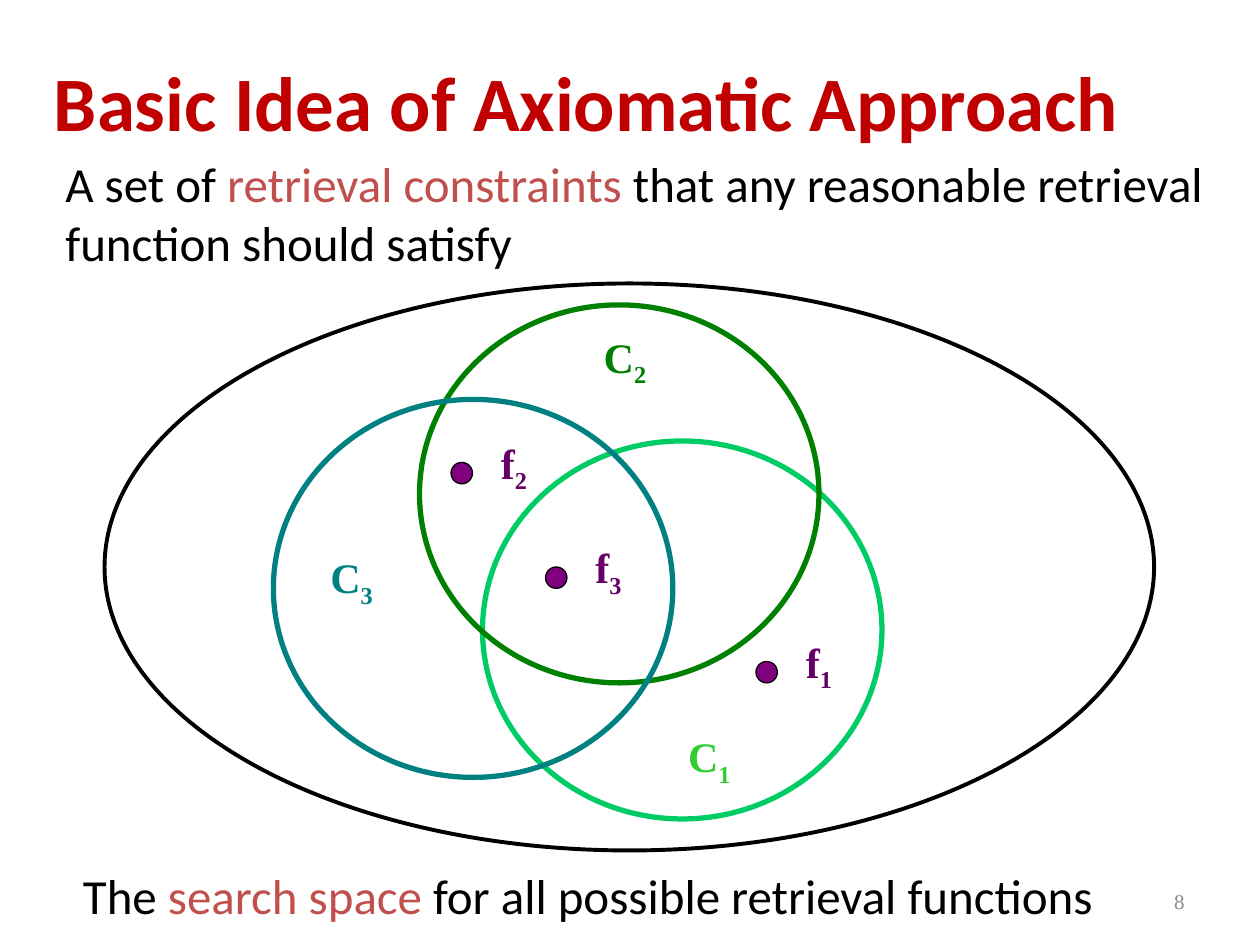
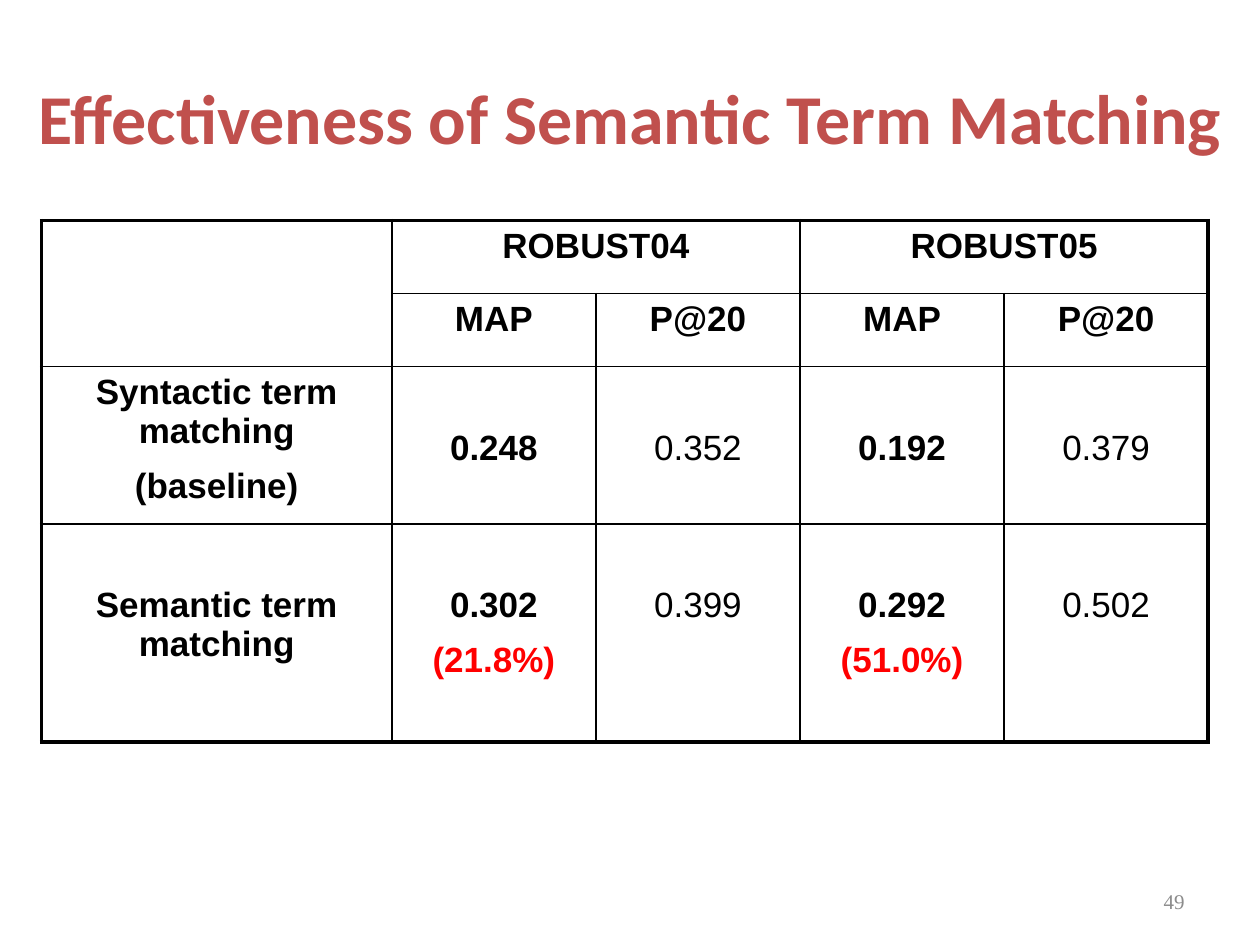
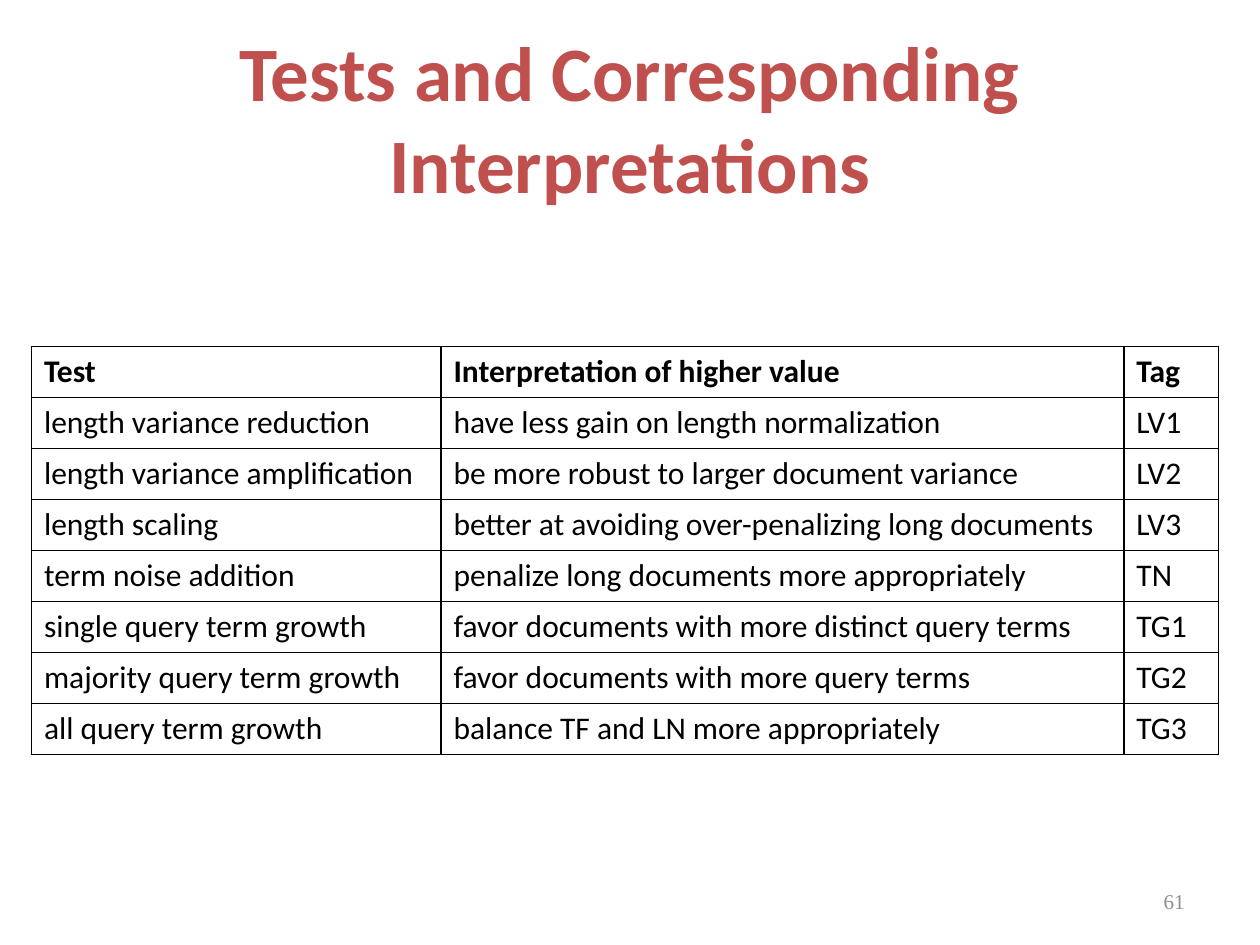
"""Build three slides on the axiomatic approach to retrieval."""
from dataclasses import dataclass

from lxml.etree import SubElement
from pptx import Presentation
from pptx.dml.color import RGBColor
from pptx.enum.shapes import MSO_SHAPE
from pptx.enum.text import MSO_ANCHOR, PP_ALIGN
from pptx.oxml.ns import qn
from pptx.util import Inches, Pt


@dataclass(frozen=True)
class Theme:
    ink: str = "000000"
    deep: str = "C00000"
    rose: str = "C0504D"
    gain: str = "FF0000"
    gray: str = "8C8C8C"
    dot: str = "800080"
    plum: str = "660066"
    lime: str = "33CC33"
    mint: str = "00CC66"
    green: str = "008000"
    teal: str = "008080"
    sans: str = "Calibri"
    serif: str = "Times New Roman"
    plain: str = "Arial"
    head: int = 44
    tight: int = 40
    body: int = 28
    label: int = 24
    data: int = 20
    list: int = 18
    foot: int = 12
    thin: float = 1
    thick: float = 2.25
    ring: float = 3


T = Theme()
LEFT, MID, RIGHT = PP_ALIGN.LEFT, PP_ALIGN.CENTER, PP_ALIGN.RIGHT


def write(frame, paras, size, face, align=LEFT, bold=False, mid=False):
    frame.word_wrap = True
    frame.vertical_anchor = MSO_ANCHOR.MIDDLE if mid else MSO_ANCHOR.TOP
    for i, runs in enumerate(paras):
        para = frame.add_paragraph() if i else frame.paragraphs[0]
        para.alignment = align
        para.font.size, para.font.name, para.font.bold = Pt(size), face, bold
        if i:
            para.space_before = Pt(size * 0.45)
        for words, color, *base in runs:
            run = para.add_run()
            run.text = words
            run.font.color.rgb = RGBColor.from_string(color)
            if base:
                run.font._element.set("baseline", str(base[0] * 1000))


def grid(page, left, top, cols, rows, spans, edge):
    size = map(Inches, (left, top, sum(cols), sum(rows)))
    table = page.shapes.add_table(len(rows), len(cols), *size).table
    table.first_row = table.horz_banding = False
    for col, width in zip(table.columns, cols):
        col.width = Inches(width)
    for row, height in zip(table.rows, rows):
        row.height = Inches(height)
    for r, c, down, over in spans:
        table.cell(r, c).merge(table.cell(r + down, c + over))
    for r in range(len(rows)):
        for c in range(len(cols)):
            cell = table.cell(r, c)
            outer = {
                "lnL": c == 0,
                "lnR": c + cell.span_width == len(cols),
                "lnT": r == 0,
                "lnB": r + cell.span_height == len(rows),
            }
            props = cell._tc.get_or_add_tcPr()
            for side, out in outer.items():
                width = Pt(edge if out else T.thin)
                line = SubElement(props, qn(f"a:{side}"), w=str(width))
                fill = SubElement(line, qn("a:solidFill"))
                SubElement(fill, qn("a:srgbClr"), val=T.ink)
            cell.fill.background()
    return table


deck = Presentation()
deck.slide_width, deck.slide_height = Inches(10), Inches(7.5)

heads = [
    ("Basic Idea of Axiomatic Approach", (0.33, 0.17, 9, 1.25), T.head, T.deep, LEFT, "8"),
    ("Effectiveness of Semantic Term Matching", (0, 0.3, 10, 1.25), T.tight, T.rose, MID, "49"),
    ("Tests and Corresponding Interpretations", (0.5, 0.3, 9, 1.25), T.head, T.rose, MID, "61"),
]
pages = []
for title, box, size, color, align, number in heads:
    page = deck.slides.add_slide(deck.slide_layouts[6])
    frame = page.shapes.add_textbox(*map(Inches, box)).text_frame
    write(frame, [[(title, color)]], size, T.sans, align, True, True)
    box = (7.17, 6.95, 2.33, 0.4)
    frame = page.shapes.add_textbox(*map(Inches, box)).text_frame
    write(frame, [[(number, T.gray)]], T.foot, T.serif, RIGHT, mid=True)
    pages.append(page)
venn, score, tests = pages

ovals = [
    (0.83, 2.25, 8.33, 4.5, T.ink, T.thick, None),
    (3.83, 3.5, 3.17, 3, T.mint, T.ring, None),
    (3.33, 2.42, 3.17, 3, T.green, T.ring, None),
    (2.17, 3.17, 3.17, 3, T.teal, T.ring, None),
]
marks = [
    ("C", "1", 5.17, 5.75, 0.92, T.lime),
    ("C", "2", 4.5, 2.58, 0.92, T.green),
    ("C", "3", 2.33, 4.33, 0.92, T.teal),
]
for sub, left, top in [("1", 6, 5.25), ("2", 3.58, 3.67), ("3", 4.33, 4.5)]:
    ovals.append((left, top, 0.17, 0.17, T.ink, 0.75, T.dot))
    marks.append(("f", sub, left + 0.25, top - 0.25, 0.5, T.plum))

for *box, color, width, fill in ovals:
    oval = venn.shapes.add_shape(MSO_SHAPE.OVAL, *map(Inches, box))
    oval.shadow.inherit = False
    oval.line.color.rgb = RGBColor.from_string(color)
    oval.line.width = Pt(width)
    if fill:
        oval.fill.solid()
        oval.fill.fore_color.rgb = RGBColor.from_string(fill)
    else:
        oval.fill.background()

for name, sub, left, top, width, color in marks:
    box = (left, top, width, 0.5)
    frame = venn.shapes.add_textbox(*map(Inches, box)).text_frame
    runs = [(name, color), (sub, color, -25)]
    write(frame, [runs], T.label, T.serif, MID, True)

notes = [
    ((0.42, 1.17, 9.25, 1.03), LEFT, "A set of ", "retrieval constraints",
     " that any reasonable retrieval function should satisfy"),
    ((0.25, 6.82, 8.83, 0.57), MID, "The ", "search space",
     " for all possible retrieval functions"),
]
for box, align, start, key, end in notes:
    frame = venn.shapes.add_textbox(*map(Inches, box)).text_frame
    runs = [(start, T.ink), (key, T.rose), (end, T.ink)]
    write(frame, [runs], T.body, T.sans, align)

spans = [(0, 0, 1, 0), (0, 1, 0, 1), (0, 3, 0, 1)]
table = grid(score, 0.33, 1.75, [2.78] + [1.62] * 4,
             [0.58, 0.58, 1.25, 1.73], spans, T.thick)
rows = [
    ["", "ROBUST04", "", "ROBUST05", ""],
    ["", "MAP", "P@20", "MAP", "P@20"],
    ["Syntactic term matching|(baseline)", "0.248", "0.352", "0.192", "0.379"],
    ["Semantic term matching", "0.302|(21.8%)", "0.399", "0.292|(51.0%)", "0.502"],
]
for r, row in enumerate(rows):
    for c, words in enumerate(row):
        if not words:
            continue
        cell = table.cell(r, c)
        if r == 3 or (r == 2 and c):
            cell.margin_top = Inches(0.49)
        paras = [[(part, T.gain if "%" in part else T.ink)] for part in words.split("|")]
        bold = r < 2 or c in (0, 1, 3)
        write(cell.text_frame, paras, T.data, T.plain, MID, bold)

rows = [
    ("Test", "Interpretation of higher value", "Tag"),
    ("length variance reduction", "have less gain on length normalization", "LV1"),
    ("length variance amplification", "be more robust to larger document variance", "LV2"),
    ("length scaling", "better at avoiding over-penalizing long documents", "LV3"),
    ("term noise addition", "penalize long documents more appropriately", "TN"),
    ("single query term growth", "favor documents with more distinct query terms", "TG1"),
    ("majority query term growth", "favor documents with more query terms", "TG2"),
    ("all query term growth", "balance TF and LN more appropriately", "TG3"),
]
table = grid(tests, 0.25, 2.75, [3.25, 5.42, 0.75], [0.405] * len(rows), [], T.thin)
for r, row in enumerate(rows):
    for c, words in enumerate(row):
        write(table.cell(r, c).text_frame, [[(words, T.ink)]], T.list, T.sans, bold=r == 0)

deck.save("out.pptx")
